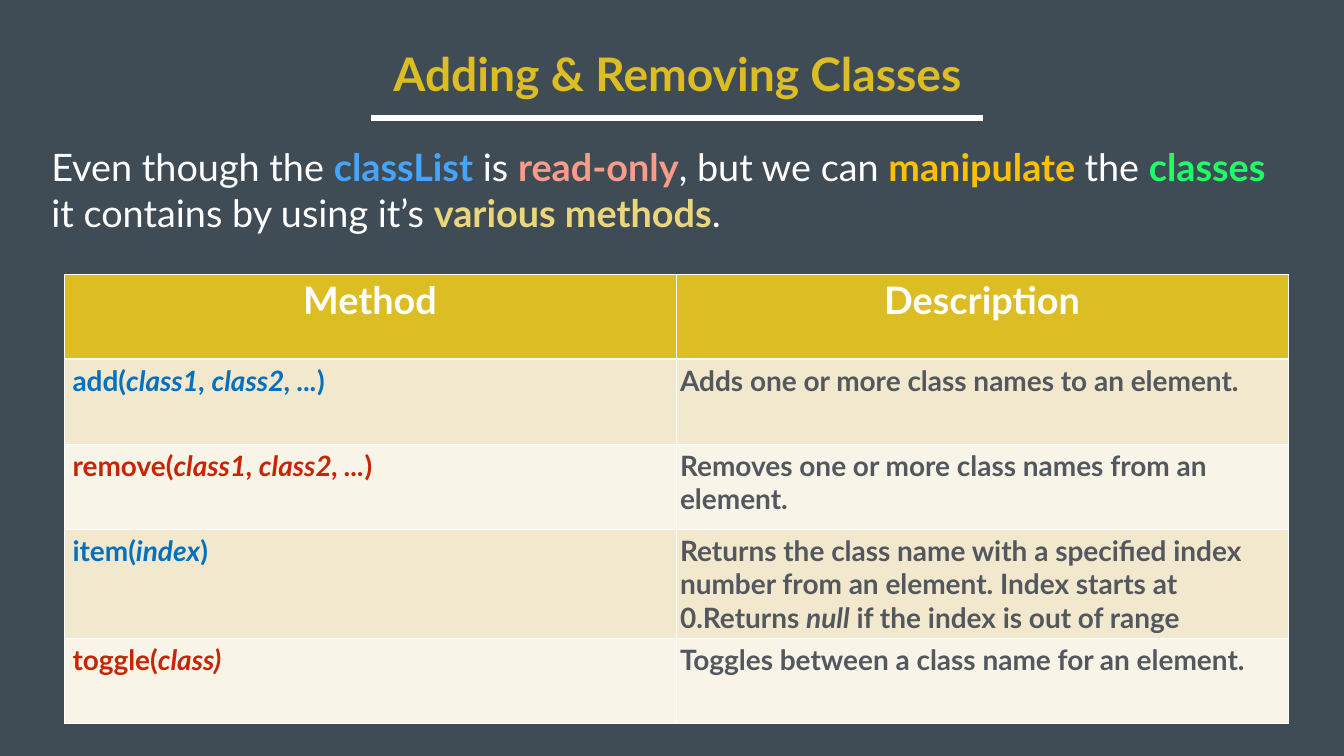
from lxml.etree import SubElement
from pptx import Presentation
from pptx.dml.color import RGBColor
from pptx.enum.shapes import MSO_CONNECTOR
from pptx.enum.text import MSO_AUTO_SIZE, PP_ALIGN
from pptx.oxml.ns import qn
from pptx.util import Inches, Pt

FONT = "Lato"
COLORS = {
    "back": "404C55", "gold": "DCBD23", "white": "FFFFFF",
    "sky": "45A4FC", "coral": "FB9B89", "amber": "FFC000",
    "green": "1FFF66", "straw": "EAD77B", "blue": "0070C0",
    "red": "C82506", "gray": "53585F", "sand": "F2E8CD", "cream": "F9F4E8",
}

# Each run is (text, color, bold)
INTRO = [
    ("Even though the ", "white", False), ("classList", "sky", True),
    (" is ", "white", False), ("read-only", "coral", True),
    (", but we can ", "white", False), ("manipulate ", "amber", True),
    ("the ", "white", False), ("classes", "green", True),
    (" it contains by using it’s ", "white", False),
    ("various methods", "straw", True), (".", "white", False),
]
HEADS = ["Method", "Description"]
# Each cell alternates upright and italic parts
METHODS = [
    (["add(", "class1, class2, ...", ")"],
     ["Adds one or more class names to an element."]),
    (["remove(", "class1, class2, ...", ")"],
     ["Removes one or more class names from an element."]),
    (["item(", "index", ")"],
     ["Returns the class name with a specified index number from an element. "
      "Index starts at 0.Returns ", "null", " if the index is out of range"]),
    (["toggle(", "class)"],
     ["Toggles between a class name for an element."]),
]


def color(name):
    return RGBColor.from_string(COLORS[name])


def add_run(para, text, size, hue, bold=True, italic=False):
    run = para.add_run()
    run.text = text
    font = run.font
    font.name, font.size = FONT, Pt(size)
    font.bold, font.italic = bold, italic
    font.color.rgb = color(hue)


def add_text(slide, left, top, width, height, wrap):
    box = slide.shapes.add_textbox(
        Inches(left), Inches(top), Inches(width), Inches(height))
    frame = box.text_frame
    frame.word_wrap = wrap
    frame.auto_size = MSO_AUTO_SIZE.SHAPE_TO_FIT_TEXT
    return frame.paragraphs[0]


def add_rule(slide, left, right, top):
    rule = slide.shapes.add_connector(
        MSO_CONNECTOR.STRAIGHT,
        Inches(left), Inches(top), Inches(right), Inches(top))
    rule.line.color.rgb = color("white")
    rule.line.width = Pt(8)
    SubElement(rule._element.spPr, qn("a:effectLst"))


def style_cell(cell, fill, top=1, bottom=1):
    # Borders come before the fill in the cell properties
    props = cell._tc.get_or_add_tcPr()
    for side, width in zip("LRTB", (1, 1, top, bottom)):
        line = SubElement(props, qn(f"a:ln{side}"), w=str(Pt(width)))
        solid = SubElement(line, qn("a:solidFill"))
        SubElement(solid, qn("a:srgbClr"), val=COLORS["white"])
    cell.fill.solid()
    cell.fill.fore_color.rgb = color(fill)


def add_grid(slide):
    count = len(METHODS) + 1
    table = slide.shapes.add_table(
        count, 2, Inches(1.27), Inches(5.44),
        Inches(24.29), Inches(1.69 * count)).table

    # Header row
    for cell, head in zip(table.rows[0].cells, HEADS):
        style_cell(cell, "gold", bottom=3)
        para = cell.text_frame.paragraphs[0]
        para.alignment = PP_ALIGN.CENTER
        add_run(para, head, 54, "white")

    # Method rows in two alternating looks
    for row, pair in enumerate(METHODS, 1):
        fill, hue = ("sand", "blue") if row % 2 else ("cream", "red")
        for col, parts in enumerate(pair):
            cell = table.cell(row, col)
            style_cell(cell, fill, top=3 if row == 1 else 1)
            cell.margin_left = Inches(0.08 if col else 0.17)
            cell.margin_right = Inches(0.08)
            cell.margin_top = cell.margin_bottom = Inches(0.08)
            para = cell.text_frame.paragraphs[0]
            for i, part in enumerate(parts):
                add_run(para, part, 40, "gray" if col else hue,
                        italic=i % 2 == 1)


def main():
    deck = Presentation()
    deck.slide_width, deck.slide_height = Inches(26.67), Inches(15)
    slide = deck.slides.add_slide(deck.slide_layouts[6])
    slide.background.fill.solid()
    slide.background.fill.fore_color.rgb = color("back")

    # Title and underline
    title = add_text(slide, 7.04, 0.85, 12.81, 1.21, False)
    title.alignment = PP_ALIGN.CENTER
    add_run(title, "Adding & Removing Classes", 66, "gold")
    add_rule(slide, 7.37, 19.51, 2.34)

    # Introduction
    intro = add_text(slide, 0.92, 2.81, 24.64, 4.64, True)
    for text, hue, bold in INTRO:
        add_run(intro, text, 54, hue, bold)

    # Table of methods
    add_grid(slide)
    deck.save("out.pptx")


if __name__ == "__main__":
    main()
